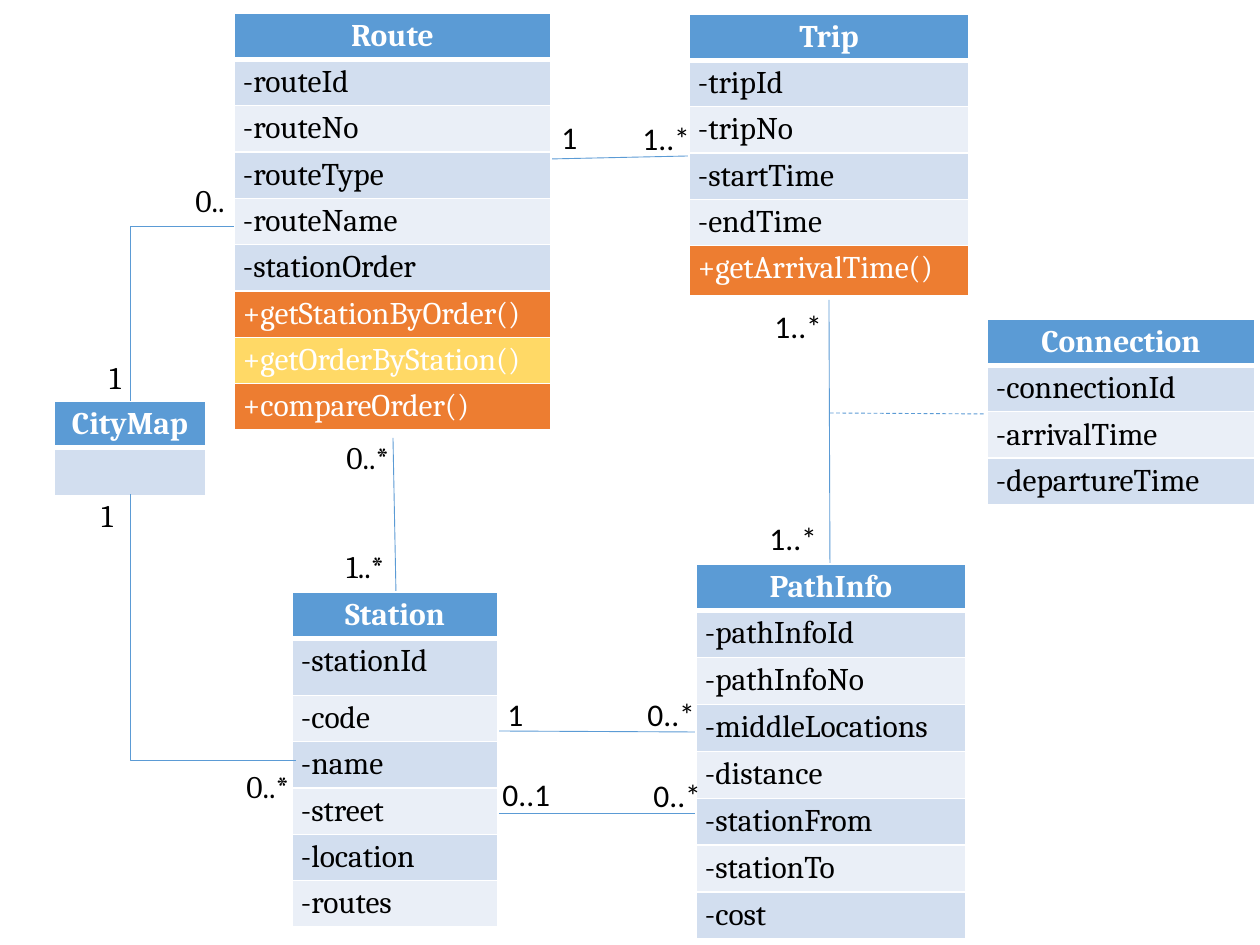
from lxml.etree import SubElement
from pptx import Presentation
from pptx.dml.color import RGBColor
from pptx.enum.dml import MSO_LINE
from pptx.enum.shapes import MSO_CONNECTOR
from pptx.enum.text import MSO_AUTO_SIZE, PP_ALIGN
from pptx.oxml.ns import qn
from pptx.util import Emu, Pt

BLUE = RGBColor(0x5B, 0x9B, 0xD5)
BAND_DARK = RGBColor(0xD2, 0xDE, 0xEF)
BAND_LIGHT = RGBColor(0xEA, 0xEF, 0xF7)
ORANGE = RGBColor(0xED, 0x7D, 0x31)
YELLOW = RGBColor(0xFF, 0xD9, 0x66)
WHITE = RGBColor(0xFF, 0xFF, 0xFF)
BLACK = RGBColor(0, 0, 0)

SERIF, SANS = "Cambria", "Calibri"
ROW = 45

# name, (left, top, width, height), members, row heights that differ
CLASSES = [
    ("Route", (234, 13, 317, 426),
     ["-routeId", "-routeNo", "-routeType", "-routeName", "-stationOrder",
      "+getStationByOrder()", "+getOrderByStation()", "+compareOrder()"], {}),
    ("Trip", (689, 14, 280, 286),
     ["-tripId", "-tripNo", "-startTime", "-endTime", "+getArrivalTime()"], {5: 50}),
    ("Connection", (987, 319, 268, 189),
     ["-connectionId", "-arrivalTime", "-departureTime"], {}),
    ("Station", (292, 592, 206, 340),
     ["-stationId", "-code", "-name", "-street", "-location", "-routes"], {1: 57}),
    ("CityMap", (54, 401, 152, 94), [""], {}),
    ("PathInfo", (696, 564, 270, 378),
     ["-pathInfoId", "-pathInfoNo", "-middleLocations", "-distance",
      "-stationFrom", "-stationTo", "-cost"], {row: 47 for row in range(1, 8)}),
]
HIGHLIGHTED = {"+getOrderByStation()": YELLOW}

LINES = [
    ((499, 731), (696, 732)),
    ((495, 813), (696, 813)),
    ((829, 300), (830, 564)),
    ((549, 159), (689, 156)),
    ((393, 438), (396, 592)),
]
ELBOWS = [((234, 226), (131, 401)), ((296, 761), (131, 494))]

# text, left, top, width, font
MULTIPLICITIES = [
    ("1", 495, 689, 42, SANS), ("0..1", 490, 769, 73, SANS),
    ("1..*", 762, 301, 73, SANS), ("1", 549, 112, 42, SANS),
    ("1..*", 630, 113, 73, SANS), ("0..*", 334, 432, 71, SERIF),
    ("1..*", 334, 541, 71, SERIF), ("0..", 183, 175, 58, SERIF),
    ("1", 97, 352, 43, SERIF), ("0..*", 234, 761, 71, SERIF),
    ("1", 89, 490, 43, SERIF), ("0..*", 635, 689, 73, SANS),
    ("0..*", 641, 770, 73, SANS), ("1..*", 757, 513, 73, SANS),
]


def px(n):
    return Emu(round(n * 914400 / 126))


def write(tf, text, **font):
    r = tf.paragraphs[0].add_run()
    r.text = text
    r.font.color.rgb = font.pop("color", BLACK)
    for name, value in {"size": Pt(18), **font}.items():
        setattr(r.font, name, value)


def add_borders(cell, widths):
    tc_pr = cell._tc.get_or_add_tcPr()
    for side, width in widths.items():
        ln = SubElement(tc_pr, qn(f"a:ln{side}"), w=str(Pt(width)))
        fill = SubElement(ln, qn("a:solidFill"))
        SubElement(fill, qn("a:srgbClr"), val=str(WHITE))


def member_fill(member, row):
    if member.startswith("+"):
        return HIGHLIGHTED.get(member, ORANGE)
    return BAND_DARK if row % 2 else BAND_LIGHT


def add_class(s, name, box, members, heights):
    frame = s.shapes.add_table(len(members) + 1, 1, *map(px, box))
    table = frame.table
    for row, text in enumerate([name, *members]):
        table.rows[row].height = px(heights.get(row, ROW))
        cell = table.cell(row, 0)
        margins = {"margin_left": 9, "margin_right": 9,
                   "margin_top": 5, "margin_bottom": 5}
        for side, value in margins.items():
            setattr(cell, side, px(value))
        header = row == 0
        add_borders(cell, {"L": 1, "R": 1, "T": 3 if row == 1 else 1,
                           "B": 3 if header else 1})
        cell.fill.solid()
        cell.fill.fore_color.rgb = BLUE if header else member_fill(text, row)
        if header:
            cell.text_frame.paragraphs[0].alignment = PP_ALIGN.CENTER
        if text:
            light = header or text.startswith("+")
            write(cell.text_frame, text, name=SERIF, bold=header,
                  color=WHITE if light else BLACK)
    frame.height = px(box[3])


def add_line(s, start, end, dash=None):
    c = s.shapes.add_connector(MSO_CONNECTOR.STRAIGHT, *map(px, start + end))
    c.line.color.rgb = BLUE
    c.line.width = Pt(0.5)
    if dash:
        c.line.dash_style = dash
    SubElement(c._element.spPr, qn("a:effectLst"))
    return c


def add_elbow(s, start, end):
    """Runs sideways from start, then turns once towards end."""
    c = add_line(s, start, end)
    c._element.spPr.find(qn("a:prstGeom")).set("prst", "bentConnector2")


def add_multiplicity(s, text, left, top, width, font):
    tf = s.shapes.add_textbox(*map(px, (left, top, width, 50))).text_frame
    tf.word_wrap = False
    tf.auto_size = MSO_AUTO_SIZE.SHAPE_TO_FIT_TEXT
    write(tf, text, name=font)


def main():
    prs = Presentation()
    prs.slide_width, prs.slide_height = px(1260), px(945)
    s = prs.slides.add_slide(prs.slide_layouts[6])
    for start, end in LINES:
        add_line(s, start, end)
    add_line(s, (830, 413), (987, 414), MSO_LINE.DASH)
    for item in CLASSES:
        add_class(s, *item)
    for start, end in ELBOWS:
        add_elbow(s, start, end)
    for item in MULTIPLICITIES:
        add_multiplicity(s, *item)
    prs.save("out.pptx")


if __name__ == "__main__":
    main()
